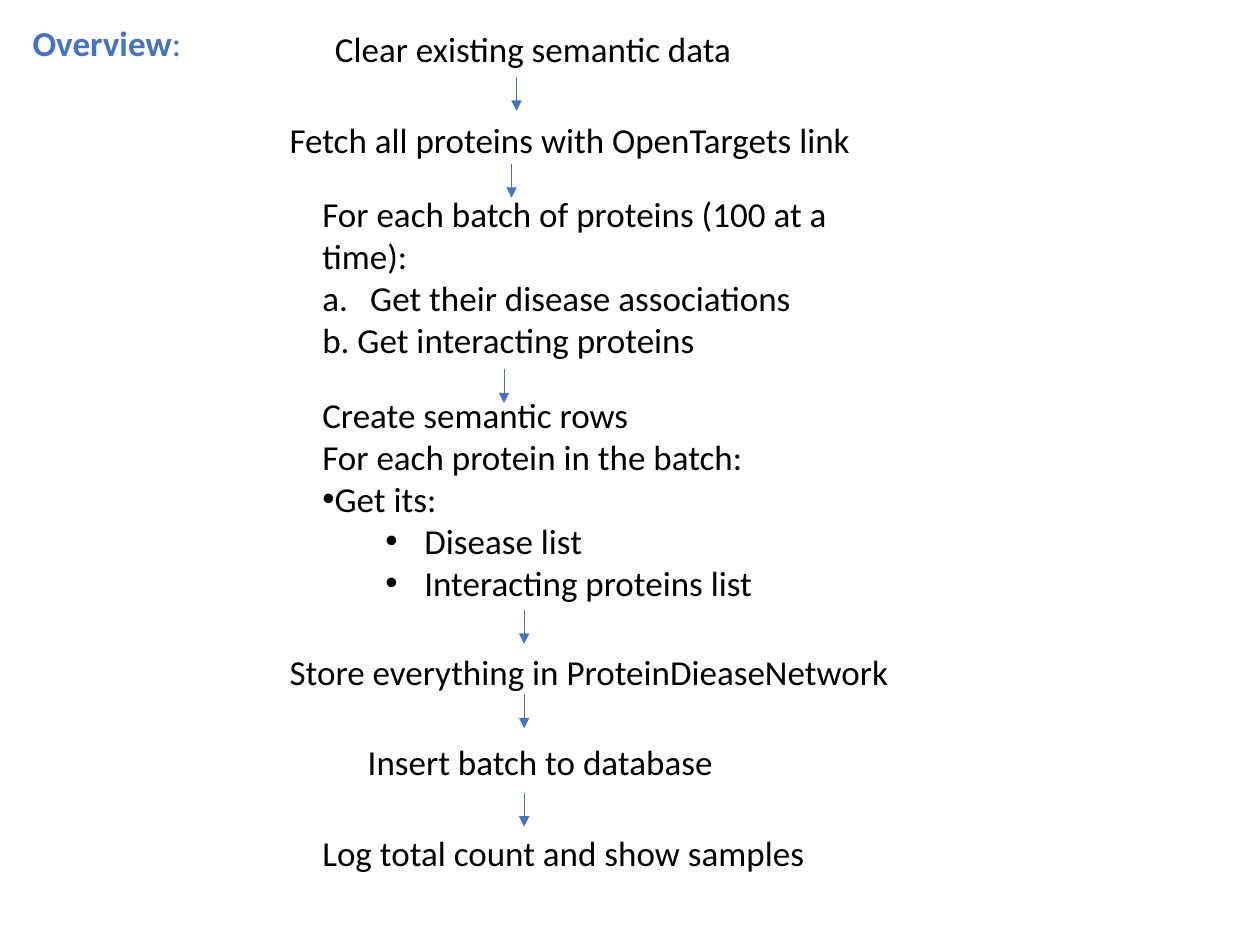
from lxml import etree
from pptx import Presentation, util as u
from pptx.dml.color import RGBColor
from pptx.enum import shapes, text
from pptx.oxml import ns

BLUE = "4472C4"
BLACK = "000000"


def color(value):
    return RGBColor.from_string(value)


def add_text(para, wording, size=20, fill=BLACK, bold=False, font="Calibri"):
    span = para.add_run()
    span.text = wording
    span.font.name = font
    span.font.size = u.Pt(size)
    span.font.bold = bold
    span.font.color.rgb = color(fill)


class FlowSlide:
    """Draws the steps and arrows of a text flow on one slide."""

    def __init__(self, page):
        self.page = page

    def box(self, left, top, width, height, inset=0.05):
        box = self.page.shapes.add_textbox(*map(u.Inches, (left, top, width, height)))
        frame = box.text_frame
        frame.word_wrap = True
        frame.auto_size = text.MSO_AUTO_SIZE.NONE
        frame.margin_top = u.Inches(inset)
        return frame

    def indent(self, para, left, hanging=0, number=None, bullet=None, level=0):
        para.level = level
        props = para._p.get_or_add_pPr()
        props.set("marL", str(u.Inches(left)))
        props.set("indent", str(-u.Inches(hanging)))
        if number:
            etree.SubElement(props, ns.qn("a:buAutoNum"), type=number)
        if bullet:
            etree.SubElement(props, ns.qn("a:buFont"), typeface="Arial")
            etree.SubElement(props, ns.qn("a:buChar"), char=bullet)

    def step(self, left, top, width, height, lines, inset=0.05):
        frame = self.box(left, top, width, height, inset)
        for index, (wording, layout) in enumerate(lines):
            para = frame.add_paragraph() if index else frame.paragraphs[0]
            if layout:
                self.indent(para, **layout)
            add_text(para, wording)

    def heading(self, left, top, width, height, wording):
        para = self.box(left, top, width, height).paragraphs[0]
        add_text(para, wording, fill=BLUE, bold=True)
        add_text(para, ":", fill=BLUE)

    def arrow(self, x, top, length=0.27):
        line = self.page.shapes.add_connector(
            shapes.MSO_CONNECTOR.STRAIGHT,
            u.Inches(x), u.Inches(top), u.Inches(x), u.Inches(top + length))
        line.line.color.rgb = color(BLUE)
        line.line.width = u.Pt(0.5)
        etree.SubElement(line.line._get_or_add_ln(), ns.qn("a:tailEnd"), type="triangle")
        etree.SubElement(line._element.spPr, ns.qn("a:effectLst"))


def main():
    deck = Presentation()
    deck.slide_width, deck.slide_height = u.Inches(10), u.Inches(7.5)
    flow = FlowSlide(deck.slides.add_slide(deck.slide_layouts[6]))

    item = dict(left=0.81, hanging=0.31, bullet="•", level=1)
    flow.step(0.19, 0.12, 9.65, 7.25,
              [("Clear existing semantic data", dict(left=2.37))], inset=0.1)
    flow.step(2.2, 0.89, 6.6, 0.44, [("Fetch all proteins with OpenTargets link", None)])
    flow.step(2.46, 1.48, 4.71, 1.45, [
        ("For each batch of proteins (100 at a time):", None),
        ("Get their disease associations",
         dict(left=0.38, hanging=0.38, number="alphaLcPeriod")),
        ("b. Get interacting proteins", None),
    ])
    flow.step(2.46, 3.07, 5.64, 2.39, [
        ("Create semantic rows", None),
        ("For each protein in the batch:", None),
        ("Get its:", dict(left=0, bullet="•")),
        ("Disease list", item),
        ("Interacting proteins list", item),
    ])
    flow.step(2.2, 5.11, 6.6, 0.44, [("Store everything in ProteinDieaseNetwork", None)])
    flow.step(2.82, 5.83, 4.39, 0.44, [("Insert batch to database", None)])
    flow.step(2.46, 6.55, 5.47, 0.44, [("Log total count and show samples", None)])
    flow.heading(0.16, 0.12, 2.51, 0.44, "Overview")

    for x, top in [(4.1, 0.61), (4.06, 1.3), (4, 2.93), (4.16, 4.84), (4.16, 5.51), (4.16, 6.29)]:
        flow.arrow(x, top)

    deck.save("out.pptx")


if __name__ == "__main__":
    main()
